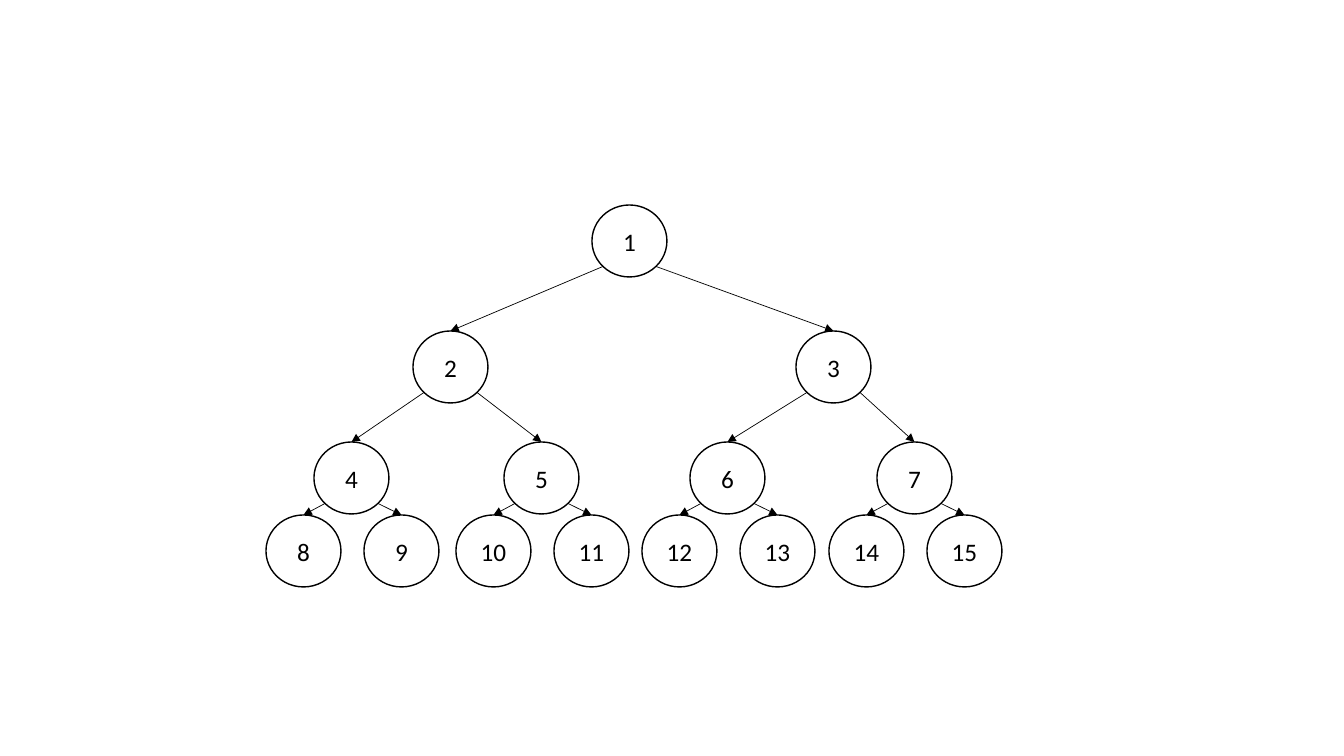
from math import cos, pi
from pptx import Presentation
from pptx.dml.color import RGBColor
from pptx.enum.shapes import MSO_CONNECTOR as LINK, MSO_SHAPE as SHAPE
from pptx.enum.text import MSO_ANCHOR as ANCHOR, PP_ALIGN as ALIGN
from pptx.oxml.ns import qn
from pptx.util import Pt
from lxml.etree import SubElement

PX = 914400 / 100.8
HUES = {"ink": "000000", "paper": "FFFFFF"}
WIDE, HIGH = 75, 72
TOPS = [205, 331, 442, 515]
LEFTS = {1: 592, 2: 413, 3: 796, 4: 314, 5: 504, 6: 690, 7: 877}


def emu(px):
    """Turn pixels into EMU."""
    return round(px * PX)


def write(shape, text, size=18, font="Calibri", hue="ink", align=ALIGN.CENTER):
    """Put formatted text in the middle of a shape."""
    frame = shape.text_frame
    frame.word_wrap = True
    frame.vertical_anchor = ANCHOR.MIDDLE
    frame.margin_left = frame.margin_right = 0
    para = frame.paragraphs[0]
    para.alignment = align
    run = para.add_run()
    run.text = text
    run.font.size = Pt(size)
    run.font.name = font
    run.font.color.rgb = RGBColor.from_string(HUES[hue])


deck = Presentation()
deck.slide_width, deck.slide_height = emu(1344), emu(756)
slide = deck.slides.add_slide(deck.slide_layouts[6])
ink = RGBColor.from_string(HUES["ink"])
paper = RGBColor.from_string(HUES["paper"])

# Each leaf hangs just left or right of its parent
for leaf in range(8, 16):
    LEFTS[leaf] = LEFTS[leaf // 2] + (50 if leaf % 2 else -48)

# Nodes, numbered level by level
nodes = {}
for num, left in LEFTS.items():
    top = TOPS[num.bit_length() - 1]
    node = slide.shapes.add_shape(
        SHAPE.OVAL, emu(left), emu(top), emu(WIDE), emu(HIGH))
    node.shadow.inherit = False
    node.fill.solid()
    node.fill.fore_color.rgb = paper
    node.line.color.rgb = ink
    node.line.width = Pt(1)
    write(node, str(num))
    nodes[num] = node

# Arrows from the lower diagonal of each parent to the top of its child
for num in range(2, 16):
    child, parent = nodes[num], nodes[num // 2]
    side = 1 if num % 2 else -1
    x = parent.left + parent.width * (1 + side * cos(pi / 4)) / 2
    y = parent.top + parent.height * (1 + cos(pi / 4)) / 2
    edge = slide.shapes.add_connector(
        LINK.STRAIGHT, round(x), round(y),
        child.left + child.width // 2, child.top)
    edge.end_connect(child, 0)
    edge.line.color.rgb = ink
    edge.line.width = Pt(0.5)
    SubElement(edge.line._get_or_add_ln(), qn("a:tailEnd"), type="triangle")
    SubElement(edge.element.spPr, qn("a:effectLst"))

deck.save("out.pptx")
